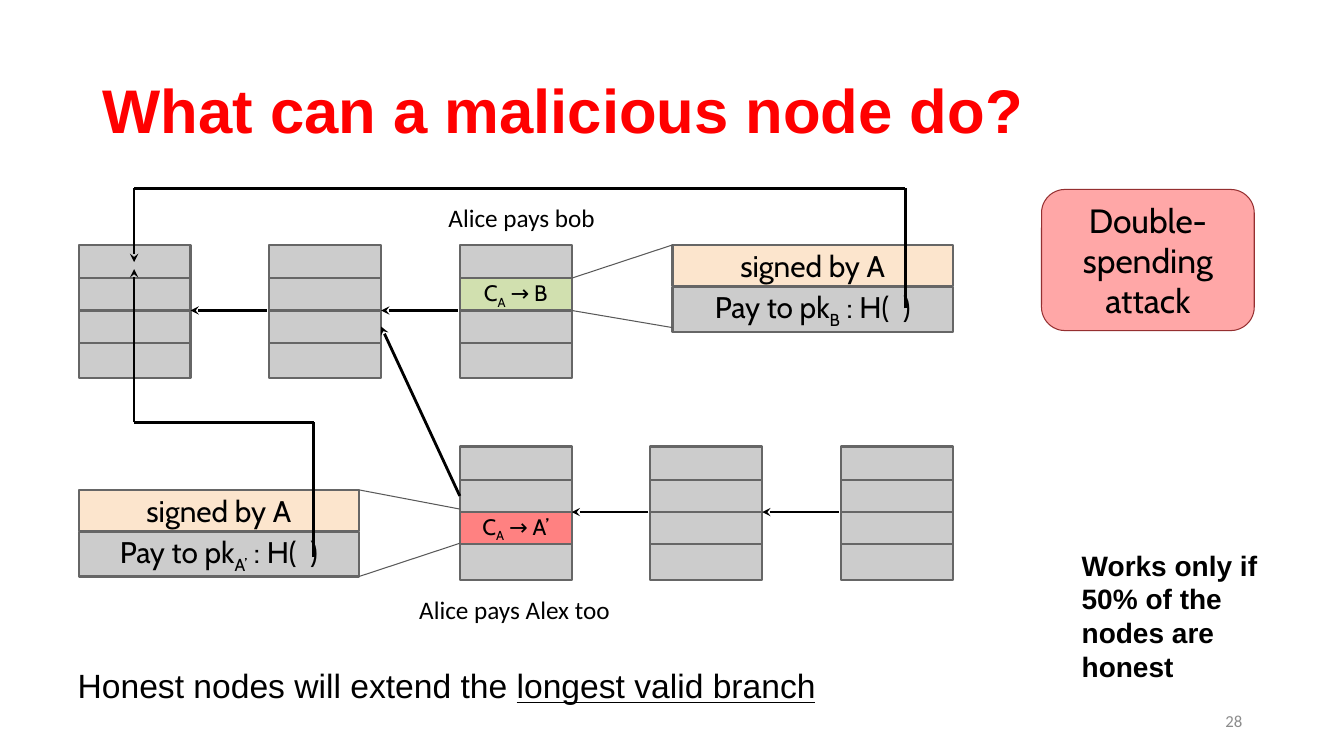
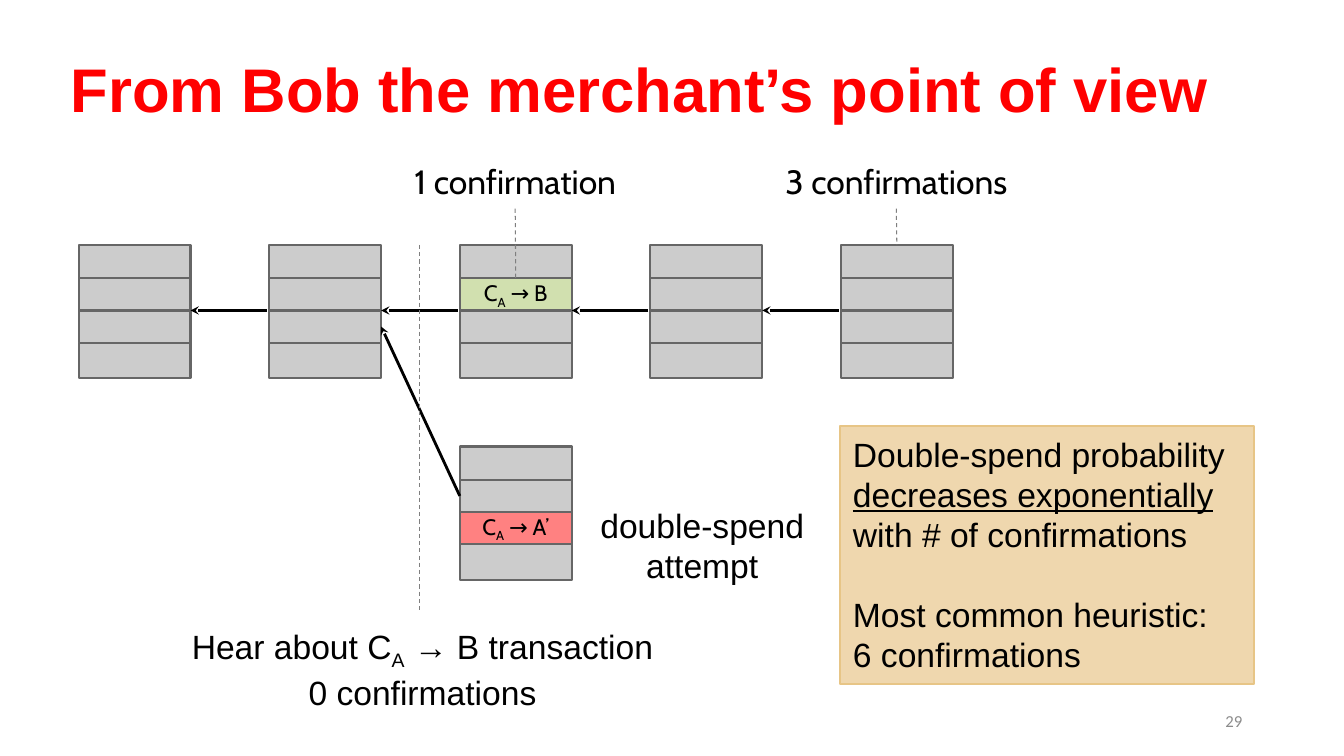
import pptx
import pptx.util
import pptx.dml.color
import pptx.enum.dml
import pptx.enum.shapes
import pptx.enum.text
import pptx.oxml.ns
from lxml import etree

Inches, Pt = pptx.util.Inches, pptx.util.Pt
RGB = pptx.dml.color.RGBColor.from_string
ALIGN = pptx.enum.text.PP_ALIGN
ANCHOR = pptx.enum.text.MSO_ANCHOR
SHAPE = pptx.enum.shapes.MSO_SHAPE
qn = pptx.oxml.ns.qn

COLORS = {
    "title": "FF0000", "text": "000000", "number": "8C8C8C",
    "block": "CCCCCC", "border": "666666", "signed": "FCE5CD",
    "honest": "D1E0AF", "attack": "FF8181",
    "callout": "FFA7A7", "callout_border": "952F30",
    "note": "EFD7AE", "note_border": "E7C586",
    "zoom": "595959", "dash": "7F7F7F",
}
TOP, BOTTOM = 2.43, 4.43                   # upper edges of the two chains
BLOCK_X = [0.78 + 1.89 * i for i in range(5)]
BLOCK_W = 1.11
ROWS = [(0, 0.33), (0.33, 0.32), (0.65, 0.32), (0.97, 0.35)]  # offset, height
ARROW_Y = 0.65
CELL_INSET, TEXT_INSET, PLAIN_INSET = (0.13, 0.13), (0.13, 0.07), (0.1, 0.05)


def add_box(shapes, at, paragraphs=(), fill=None, border="border", weight=1.5,
            kind=SHAPE.RECTANGLE, size=24, font="Arial", color="text", bold=False,
            align=ALIGN.CENTER, anchor=ANCHOR.MIDDLE, inset=TEXT_INSET, gap=0):
    """Add a filled shape, or a text box when fill is None.

    A paragraph is a list of (text, style) runs; style is "", "sub" or "under".
    """
    at = [Inches(v) for v in at]
    if fill is None:
        sp = shapes.add_textbox(*at)
    else:
        sp = shapes.add_shape(kind, *at)
        sp.shadow.inherit = False
        sp.fill.solid()
        sp.fill.fore_color.rgb = RGB(COLORS[fill])
        sp.line.color.rgb = RGB(COLORS[border])
        sp.line.width = Pt(weight)
    tf = sp.text_frame
    tf.word_wrap = True
    tf.vertical_anchor = anchor
    tf.margin_left = tf.margin_right = Inches(inset[0])
    tf.margin_top = tf.margin_bottom = Inches(inset[1])
    for i, runs in enumerate(paragraphs):
        p = tf.add_paragraph() if i else tf.paragraphs[0]
        p.alignment = align
        if i == 1 and gap:
            p.space_before = Pt(gap)
        p.font.size, p.font.name, p.font.bold = Pt(size), font, bold
        p.font.color.rgb = RGB(COLORS[color])
        for text, style in runs:
            r = p.add_run()
            r.text = text
            if style == "sub":
                r.font._element.set("baseline", "-25000")
            elif style == "under":
                r.font.underline = True
    return sp


def add_line(s, start, end, color="text", width=2, arrow=False, dashed=False):
    line = s.shapes.add_connector(pptx.enum.shapes.MSO_CONNECTOR.STRAIGHT,
                                  *[Inches(v) for v in (*start, *end)])
    line.line.color.rgb = RGB(COLORS[color])
    line.line.width = Pt(width)
    if dashed:
        line.line.dash_style = pptx.enum.dml.MSO_LINE.DASH
    if arrow:
        etree.SubElement(line.line._get_or_add_ln(), qn("a:tailEnd"), type="stealth")
    etree.SubElement(line._element.spPr, qn("a:effectLst"))
    return line


prs = pptx.Presentation()
prs.slide_width, prs.slide_height = Inches(13.33), Inches(7.5)

# Shared by both slides: title, number, chains of blocks and the fork
pages = [
    # title, its position, number, columns of the upper and lower chain
    ("What can a malicious node do?", (0.92, 0.4), "28", range(3), range(2, 5)),
    ("From Bob the merchant’s point of view", (0.6, 0.19), "29", range(5), range(2, 3)),
]
transactions = {
    (TOP, 2, 1): ("honest", " → B"),
    (BOTTOM, 2, 2): ("attack", " → A’"),
}
slides, cells = [], []
for title, (x, y), number, upper, lower in pages:
    s = prs.slides.add_slide(prs.slide_layouts[5])
    sp = s.shapes.title
    sp.left, sp.top, sp.width, sp.height = [Inches(v) for v in (x, y, 11.5, 1.45)]
    tf = sp.text_frame
    tf.text = title
    tf.vertical_anchor = ANCHOR.MIDDLE
    p = tf.paragraphs[0]
    p.alignment, p.line_spacing = ALIGN.LEFT, 0.9
    p.font.size, p.font.name, p.font.bold = Pt(44), "Arial", True
    p.font.color.rgb = RGB(COLORS["title"])

    cell = {}
    for top, columns in ((TOP, upper), (BOTTOM, lower)):
        for col in columns:
            block = s.shapes.add_group_shape()
            for row, (offset, height) in enumerate(ROWS):
                fill, target = transactions.get((top, col, row), ("block", ""))
                label = [[("C", ""), ("A", "sub"), (target, "")]] if target else []
                cell[top, col, row] = add_box(
                    block.shapes, (BLOCK_X[col], top + offset, BLOCK_W, height), label,
                    fill=fill, size=16, font="Cabin", inset=CELL_INSET)
            if col > columns[0]:
                add_line(s, (BLOCK_X[col] - 0.02, top + ARROW_Y),
                         (BLOCK_X[col - 1] + BLOCK_W, top + ARROW_Y), arrow=True)
    fork = add_line(s, (4.56, 4.92), (3.78, 3.24), arrow=True)
    fork.begin_connect(cell[BOTTOM, 2, 1], 1)
    fork.end_connect(cell[TOP, 1, 2], 3)

    add_box(s.shapes, (9.42, 6.95, 3, 0.4), [[(number, "")]], size=12, font="Calibri",
            color="number", align=ALIGN.RIGHT, inset=PLAIN_INSET)
    slides.append(s)
    cells.append(cell)

# Slide 1: the double-spending attack
s = slides[0]
for x, y, payee in ((6.67, TOP, "B"), (0.78, 4.86, "A’")):
    payment = s.shapes.add_group_shape()
    for offset, height, fill, runs in (
            (0.42, 0.44, "block", [("Pay to pk", ""), (payee, "sub"), (" : H(  )", "")]),
            (0, 0.41, "signed", [("signed by A", "")])):
        add_box(payment.shapes, (x, y + offset, 2.78, height), [runs], fill=fill,
                size=21.3, font="Cabin", inset=CELL_INSET)

hash_pointers = [
    [(8.98, 3.06), (8.98, 1.87), (1.33, 1.87), (1.33, 2.6)],
    [(3.11, 5.53), (3.11, 4.19), (1.33, 4.19), (1.33, 2.67)],
]
for points in hash_pointers:
    for start, end in zip(points, points[1:]):
        add_line(s, start, end, arrow=end == points[-1])

zoom_lines = [
    ((5.67, 2.76), (6.67, 2.43)), ((5.67, 3.08), (6.67, 3.25)),
    ((3.56, 4.86), (4.56, 5.05)), ((3.56, 5.72), (4.56, 5.39)),
]
for start, end in zoom_lines:
    add_line(s, start, end, color="zoom", width=0.75)

add_box(s.shapes, (10.33, 1.88, 2.11, 1.4), [[("Double-spending attack", "")]],
        fill="callout", border="callout_border", weight=0.75,
        kind=SHAPE.ROUNDED_RECTANGLE, font="Cabin")
add_box(s.shapes, (0.64, 6.53, 7.81, 0.54),
        [[("Honest nodes will extend the ", ""), ("longest valid branch", "under")]],
        align=ALIGN.LEFT, anchor=ANCHOR.TOP)
add_box(s.shapes, (10.63, 5.39, 2.44, 1.45),
        [[("Works only if 50% of the nodes are honest", "")]], size=20, bold=True,
        align=ALIGN.LEFT, anchor=ANCHOR.TOP, inset=PLAIN_INSET)
for x, y, text in ((4.35, 1.96, "Alice pays bob"), (4.06, 5.85, "Alice pays Alex too")):
    add_box(s.shapes, (x, y, 2.2, 0.4), [[(text, "")]], size=18, font="Calibri",
            align=ALIGN.LEFT, anchor=ANCHOR.TOP, inset=PLAIN_INSET)

# Slide 2: counting confirmations
s, cell = slides[1], cells[1]
add_line(s, (4.16, 2.43), (4.16, 6.08), color="dash", width=0.75, dashed=True)
for x, width, text, target in (
        (3.87, 2.48, "1 confirmation", cell[TOP, 2, 1]),
        (7.58, 2.62, "3 confirmations", cell[TOP, 4, 0])):
    label = add_box(s.shapes, (x, 1.53, width, 0.54), [[(text, "")]],
                    font="Cabin", anchor=ANCHOR.TOP)
    marker = add_line(s, (x + width / 2, 2.07), (x + width / 2, TOP),
                      color="dash", width=0.75, dashed=True)
    marker.begin_connect(label, 2)
    marker.end_connect(target, 0)

add_box(s.shapes, (1.74, 6.14, 4.9, 0.94),
        [[("Hear about C", ""), ("A", "sub"), (" → B transaction", "")],
         [("0 confirmations", "")]], anchor=ANCHOR.TOP)
add_box(s.shapes, (5.81, 4.94, 2.31, 0.94), [[("double-spend attempt", "")]],
        anchor=ANCHOR.TOP)
add_box(s.shapes, (8.33, 4.23, 4.11, 2.56),
        [[("Double-spend probability ", ""), ("decreases exponentially", "under"),
          (" with # of confirmations", "")],
         [("Most common heuristic:", "")],
         [("6 confirmations", "")]],
        fill="note", border="note_border", align=ALIGN.LEFT, anchor=ANCHOR.TOP, gap=28)

prs.save("out.pptx")
